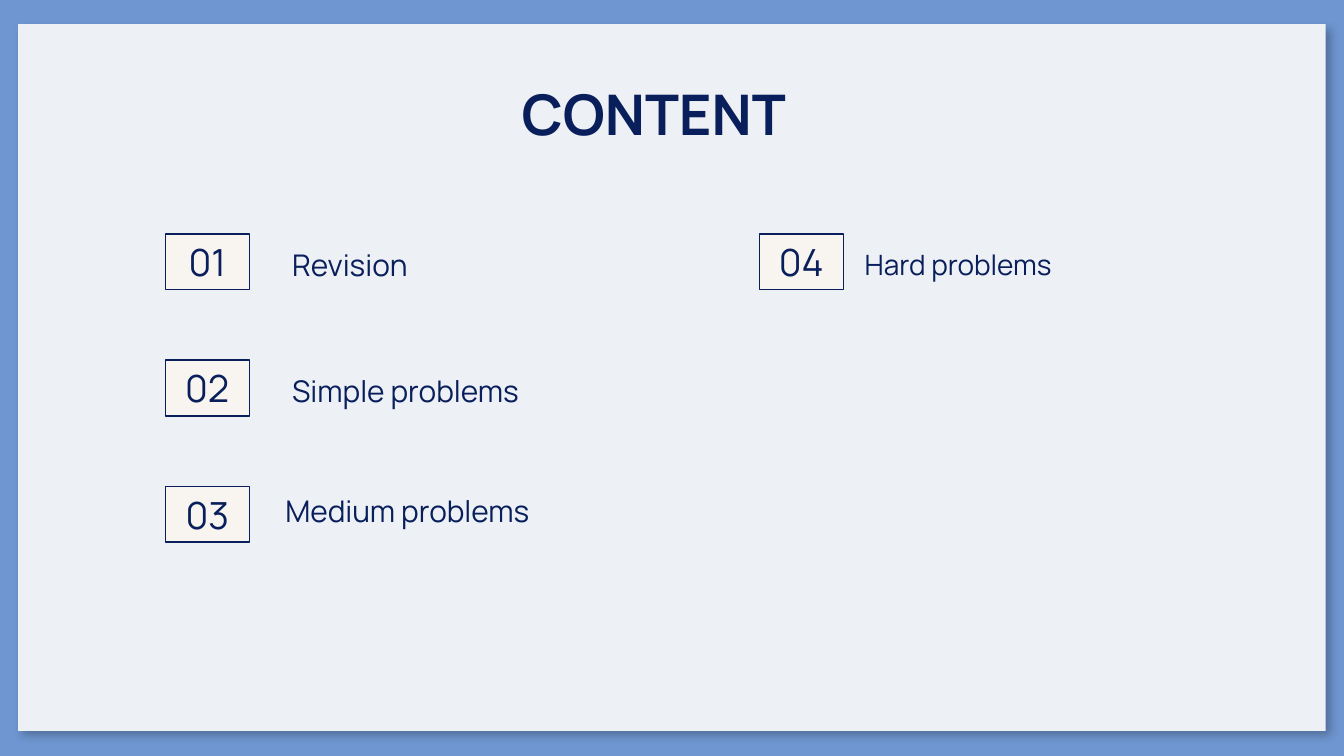
"""Build the contents slide: a title and four numbered topics on a shadowed panel."""

from dataclasses import dataclass

import pptx
import pptx.dml.color
import pptx.enum.shapes
import pptx.enum.text
import pptx.oxml
import pptx.oxml.ns
import pptx.shapes.autoshape
import pptx.slide
import pptx.util

PX = 4572
SLIDE_SIZE = (2000, 1125)
INSET = 20
FONT = "Manrope"
NAVY = pptx.dml.color.RGBColor(0x09, 0x1F, 0x5B)
BLUE = pptx.dml.color.RGBColor(0x6F, 0x96, 0xD1)
PALE = pptx.dml.color.RGBColor(0xED, 0xF0, 0xF5)
CREAM = pptx.dml.color.RGBColor(0xF8, 0xF4, 0xF0)
CENTER = pptx.enum.text.PP_ALIGN.CENTER
LEFT = pptx.enum.text.PP_ALIGN.LEFT

BADGE_SIZE = (125, 83)
COLUMNS = (246, 1130)
FIRST_ROW, ROW_STEP = 348, 188

SHADOW = (
    f'<a:effectLst {pptx.oxml.ns.nsdecls("a")}>'
    '<a:outerShdw blurRad="57150" dist="47625" dir="3000000" algn="bl" rotWithShape="0">'
    '<a:srgbClr val="000000"><a:alpha val="25000"/></a:srgbClr>'
    "</a:outerShdw></a:effectLst>"
)


@dataclass(frozen=True)
class Box:
    left: int
    top: int
    width: int
    height: int

    def emu(self) -> tuple[int, ...]:
        return tuple(n * PX for n in (self.left, self.top, self.width, self.height))


@dataclass(frozen=True)
class TextStyle:
    size: int
    align: pptx.enum.text.PP_ALIGN = LEFT
    bold: bool = False
    line_spacing: float = 1.0
    space_before: int = 0
    indent: int = 0


@dataclass(frozen=True)
class Topic:
    number: str
    label: str
    column: int
    row: int
    label_box: Box
    style: TextStyle


TITLE = TextStyle(30, CENTER, bold=True)
NUMBER = TextStyle(20, CENTER)
LABEL = TextStyle(16, line_spacing=1.15)
INDENTED = TextStyle(16, line_spacing=1.1, space_before=10, indent=50)
SMALL_LABEL = TextStyle(15, line_spacing=1.15)

TOPICS = (
    Topic("01", "Revision", 0, 0, Box(415, 341, 504, 98), LABEL),
    Topic("02", "Simple problems", 0, 1, Box(415, 528, 504, 98), LABEL),
    Topic("03", "Medium problems", 0, 2, Box(355, 708, 646, 98), INDENTED),
    Topic("04", "Hard problems", 1, 0, Box(1267, 324, 568, 132), SMALL_LABEL),
)


def write(shape: pptx.shapes.autoshape.Shape, text: str, style: TextStyle) -> None:
    """Put one styled paragraph into a shape."""
    frame = shape.text_frame
    frame.word_wrap = True
    frame.vertical_anchor = pptx.enum.text.MSO_ANCHOR.MIDDLE
    frame.margin_left = frame.margin_right = INSET * PX
    frame.margin_top = frame.margin_bottom = INSET * PX
    paragraph = frame.paragraphs[0]
    paragraph.alignment = style.align
    paragraph.line_spacing = style.line_spacing
    paragraph.space_before = pptx.util.Pt(style.space_before)
    if style.indent:
        properties = paragraph._p.get_or_add_pPr()
        properties.set("marL", str(style.indent * PX))
        properties.set("indent", "0")
    run = paragraph.add_run()
    run.text = text
    run.font.name = FONT
    run.font.size = pptx.util.Pt(style.size)
    run.font.bold = style.bold
    run.font.color.rgb = NAVY


def add_text(slide: pptx.slide.Slide, box: Box, text: str, style: TextStyle) -> None:
    """Add a text box."""
    write(slide.shapes.add_textbox(*box.emu()), text, style)


def add_rectangle(
    slide: pptx.slide.Slide, box: Box, color: pptx.dml.color.RGBColor
) -> pptx.shapes.autoshape.Shape:
    """Add a filled rectangle without line or shadow."""
    kind = pptx.enum.shapes.MSO_SHAPE.RECTANGLE
    rectangle = slide.shapes.add_shape(kind, *box.emu())
    rectangle.shadow.inherit = False
    rectangle.fill.solid()
    rectangle.fill.fore_color.rgb = color
    rectangle.line.fill.background()
    return rectangle


def add_panel(slide: pptx.slide.Slide) -> None:
    """Add the shadowed panel behind the content."""
    panel = add_rectangle(slide, Box(27, 36, 1946, 1052), PALE)
    properties = panel._element.spPr
    plain_effects = properties.find(pptx.oxml.ns.qn("a:effectLst"))
    properties.replace(plain_effects, pptx.oxml.parse_xml(SHADOW))


def add_topic(slide: pptx.slide.Slide, topic: Topic) -> None:
    """Add a numbered badge and its label."""
    top = FIRST_ROW + topic.row * ROW_STEP
    badge = add_rectangle(slide, Box(COLUMNS[topic.column], top, *BADGE_SIZE), CREAM)
    badge.line.color.rgb = NAVY
    badge.line.width = pptx.util.Pt(0.75)
    write(badge, topic.number, NUMBER)
    add_text(slide, topic.label_box, topic.label, topic.style)


def main() -> None:
    """Build and save the slide."""
    deck = pptx.Presentation()
    deck.slide_width, deck.slide_height = (length * PX for length in SLIDE_SIZE)
    slide = deck.slides.add_slide(deck.slide_layouts[6])
    slide.background.fill.solid()
    slide.background.fill.fore_color.rgb = BLUE
    add_panel(slide)
    add_text(slide, Box(506, 46, 934, 246), "CONTENT", TITLE)
    for topic in TOPICS:
        add_topic(slide, topic)
    deck.save("out.pptx")


if __name__ == "__main__":
    main()
